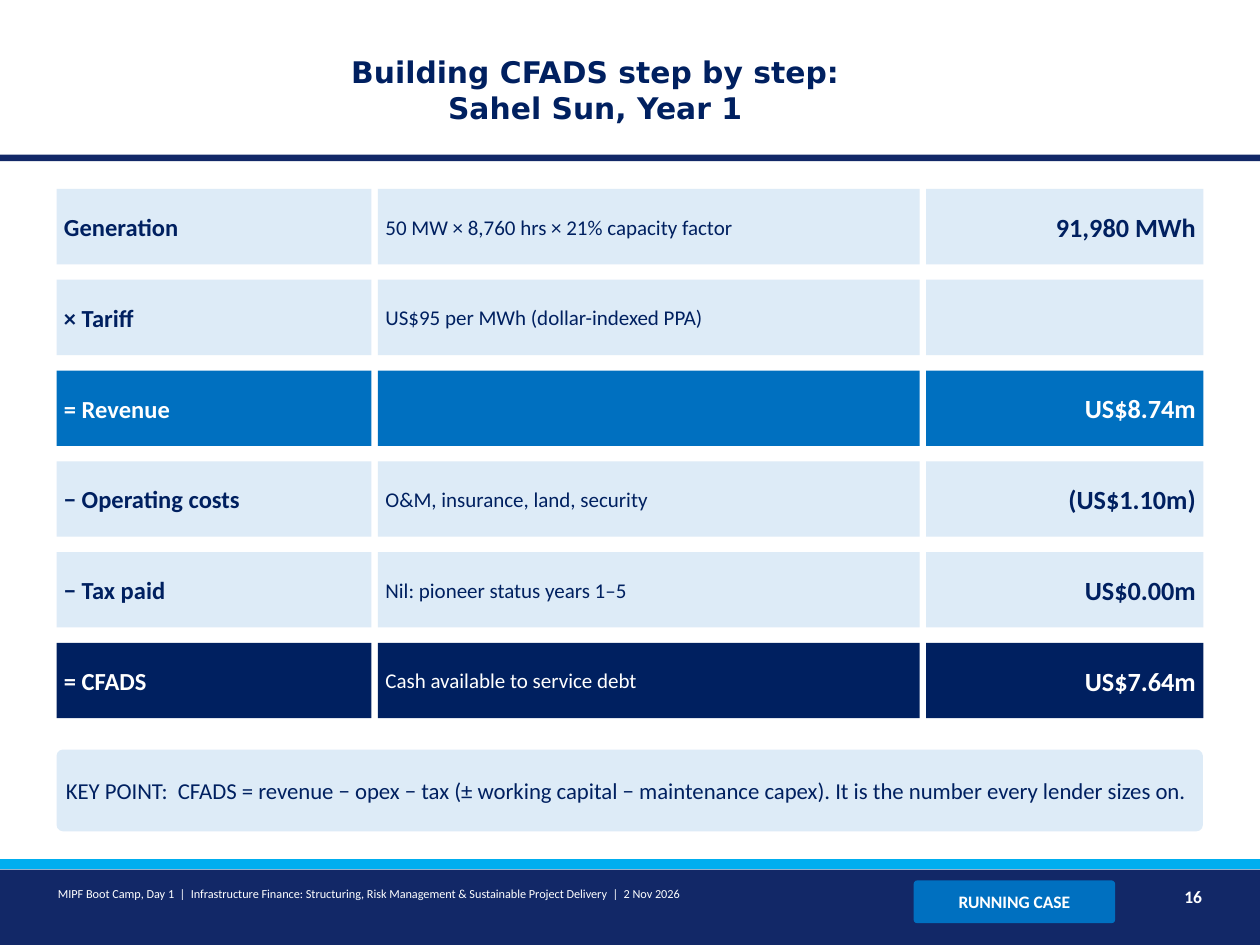
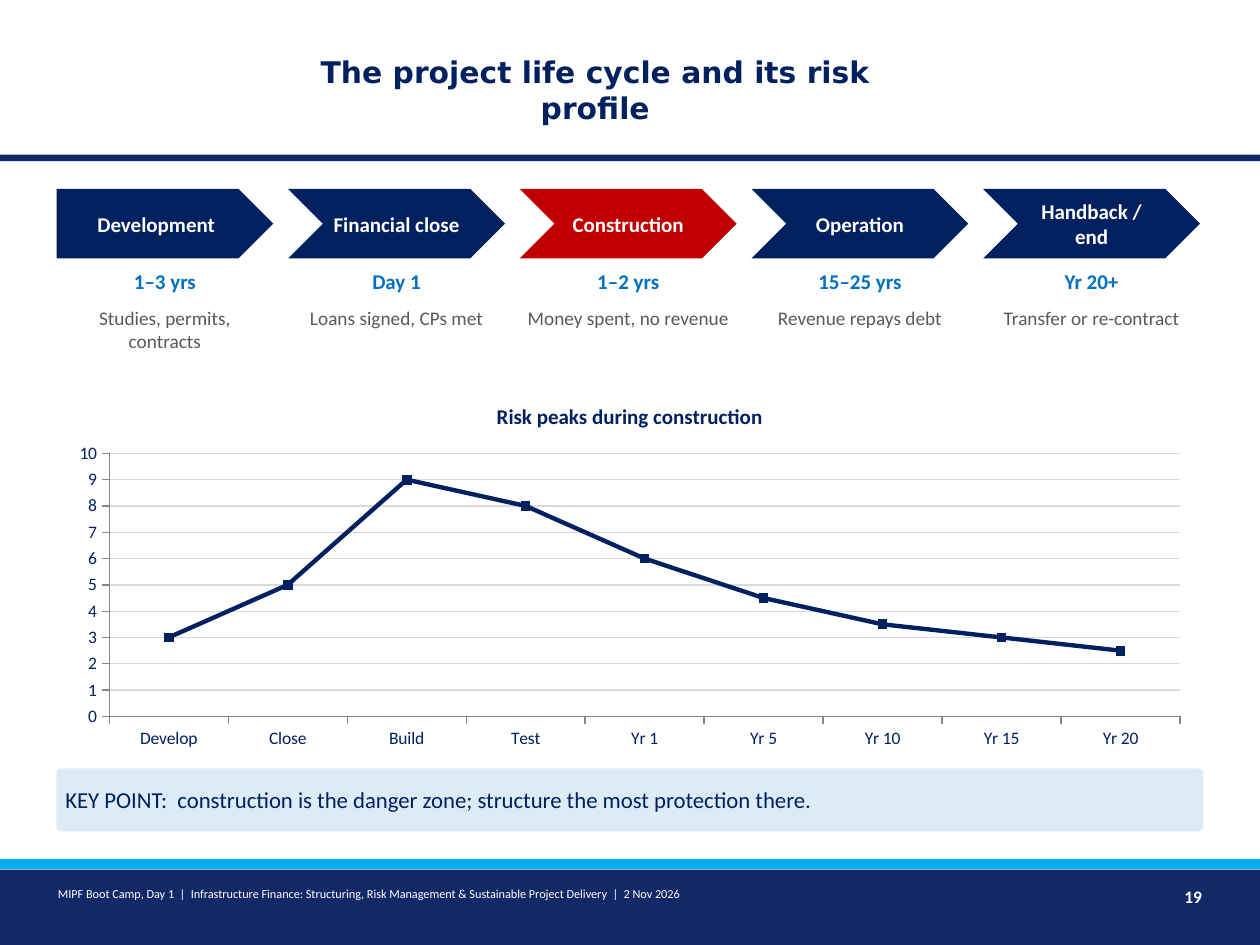
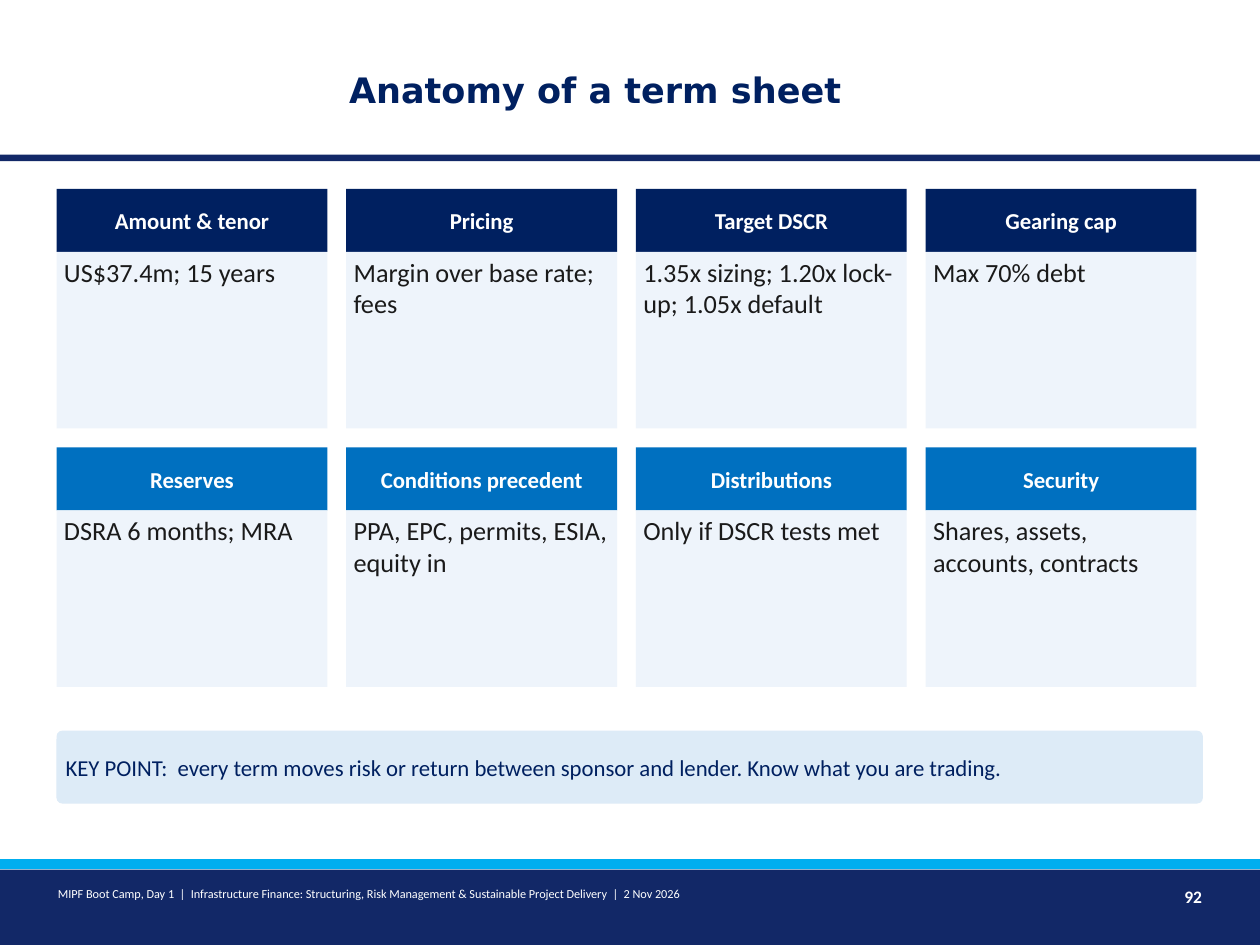
from pptx import Presentation
from pptx.chart.data import CategoryChartData
from pptx.dml.color import RGBColor
from pptx.enum.chart import XL_CHART_TYPE, XL_TICK_MARK
from pptx.enum.shapes import MSO_SHAPE
from pptx.enum.text import MSO_ANCHOR, PP_ALIGN
from pptx.util import Cm, Pt

RECTANGLE = MSO_SHAPE.RECTANGLE
ROUNDED = MSO_SHAPE.ROUNDED_RECTANGLE
PENTAGON = MSO_SHAPE.PENTAGON
CHEVRON = MSO_SHAPE.CHEVRON
LEFT, CENTER, RIGHT = PP_ALIGN.LEFT, PP_ALIGN.CENTER, PP_ALIGN.RIGHT
TOP, MIDDLE = MSO_ANCHOR.TOP, MSO_ANCHOR.MIDDLE
LINE_MARKERS = XL_CHART_TYPE.LINE_MARKERS
TICK_OUTSIDE = XL_TICK_MARK.OUTSIDE

NAVY = RGBColor(0x00, 0x20, 0x60)
BAND = RGBColor(0x12, 0x28, 0x67)
SKY = RGBColor(0x00, 0xAE, 0xEF)
BLUE = RGBColor(0x00, 0x70, 0xC0)
RED = RGBColor(0xC0, 0x00, 0x00)
PALE = RGBColor(0xDD, 0xEB, 0xF7)
MIST = RGBColor(0xEE, 0xF4, 0xFB)
INK = RGBColor(0x1A, 0x1A, 0x1A)
GRAY = RGBColor(0x59, 0x59, 0x59)
GRID = RGBColor(0xD9, 0xD9, 0xD9)
WHITE = RGBColor(0xFF, 0xFF, 0xFF)

BODY_FONT = "Calibri"
TITLE_FONT = "DejaVu Sans"
PAGE_WIDTH, PAGE_HEIGHT = 25.4, 19.05
MARGIN = 1.14
CONTENT_WIDTH = 23.11
CONTENT_TOP = 3.81
FOOTER = ("MIPF Boot Camp, Day 1  |  Infrastructure Finance: Structuring, "
          "Risk Management & Sustainable Project Delivery  |  2 Nov 2026")


class Builder:
    """Holds the deck, its style and the current page; lengths are in cm."""

    def __init__(self):
        self.deck = Presentation()
        self.deck.slide_width = Cm(PAGE_WIDTH)
        self.deck.slide_height = Cm(PAGE_HEIGHT)
        self.page = None

    def start_page(self, title, number, title_size=17):
        self.page = self.deck.slides.add_slide(self.deck.slide_layouts[6])
        self.block(0, 3.12, PAGE_WIDTH, 0.13, BAND)
        self.block(0, 17.53, PAGE_WIDTH, 1.52, BAND)
        self.block(0, 17.32, PAGE_WIDTH, 0.2, SKY)
        self.text(5.84, 0.56, 12.32, 2.49, title, title_size, NAVY, bold=True,
                  align=CENTER, anchor=MIDDLE, font=TITLE_FONT, inset=(0.25, 0.13))
        self.text(1.02, 17.78, 17.27, 0.89, FOOTER, 7, WHITE)
        self.text(22.86, 17.78, 1.52, 0.89, str(number), 10, WHITE,
                  bold=True, align=RIGHT)

    def block(self, left, top, width, height, fill, kind=RECTANGLE):
        box = self.page.shapes.add_shape(
            kind, Cm(left), Cm(top), Cm(width), Cm(height))
        box.shadow.inherit = False
        box.fill.solid()
        box.fill.fore_color.rgb = fill
        box.line.fill.background()
        if kind == ROUNDED:
            box.adjustments[0] = 0.08
        return box

    def text(self, left, top, width, height, words, size, color, **style):
        box = self.page.shapes.add_textbox(
            Cm(left), Cm(top), Cm(width), Cm(height))
        self.set_text(box, words, size, color, **style)

    def set_text(self, box, words, size, color, bold=False, align=LEFT, anchor=TOP,
                 font=BODY_FONT, inset=(0.15, 0.08), space_after=0):
        frame = box.text_frame
        frame.word_wrap = True
        frame.vertical_anchor = anchor
        frame.margin_left = frame.margin_right = Cm(inset[0])
        frame.margin_top = frame.margin_bottom = Cm(inset[1])
        frame.text = words
        para = frame.paragraphs[0]
        para.alignment = align
        para.space_after = Pt(space_after)
        span = para.runs[0].font
        span.name, span.size, span.bold = font, Pt(size), bold
        span.color.rgb = color

    def key_point(self, top, height, words):
        box = self.block(MARGIN, top, CONTENT_WIDTH, height, PALE, ROUNDED)
        self.set_text(box, "KEY POINT:  " + words, 13, NAVY, anchor=MIDDLE)

    def badge(self, words):
        box = self.block(18.42, 17.75, 4.06, 0.86, BLUE, ROUNDED)
        self.set_text(box, words, 10, WHITE, bold=True, align=CENTER, anchor=MIDDLE)

    def calculation_row(self, top, cells, fill):
        color = NAVY if fill == PALE else WHITE
        columns = ((MARGIN, 6.35, 14, True, LEFT),
                   (7.62, 10.92, 12, False, LEFT),
                   (18.67, 5.59, 15, True, RIGHT))
        for words, (left, width, size, bold, align) in zip(cells, columns):
            box = self.block(left, top, width, 1.52, fill)
            if words:
                self.set_text(box, words, size, color, bold=bold,
                              align=align, anchor=MIDDLE)

    def stage(self, left, name, period, detail, fill, kind):
        width = 4.37
        arrow = self.block(left, CONTENT_TOP, width, 1.4, fill, kind)
        self.set_text(arrow, name, 12, WHITE, bold=True, align=CENTER, anchor=MIDDLE)
        self.text(left, 5.33, width, 0.76, period, 12, BLUE, bold=True,
                  align=CENTER, space_after=4)
        self.text(left, 6.1, width, 1.52, detail, 11, GRAY,
                  align=CENTER, space_after=4)

    def card(self, left, top, heading, body, fill):
        width, head_height = 5.46, 1.27
        head = self.block(left, top, width, head_height, fill)
        self.set_text(head, heading, 13, WHITE, bold=True, align=CENTER, anchor=MIDDLE)
        panel = self.block(left, top + head_height, width, 3.56, MIST)
        self.set_text(panel, body, 15, INK, space_after=3)

    def line_chart(self, top, height, title, points):
        data = CategoryChartData()
        data.categories = list(points)
        data.add_series("Series 1", list(points.values()))
        chart = self.page.shapes.add_chart(
            LINE_MARKERS, Cm(MARGIN), Cm(top), Cm(CONTENT_WIDTH), Cm(height),
            data).chart
        chart.has_legend = False
        chart.font.name, chart.font.size = BODY_FONT, Pt(11)
        chart.font.color.rgb = NAVY
        chart.has_title = True
        chart.chart_title.text_frame.text = title
        span = chart.chart_title.text_frame.paragraphs[0].runs[0].font
        span.name, span.size, span.bold = BODY_FONT, Pt(12), True
        span.color.rgb = NAVY

        for axis in (chart.category_axis, chart.value_axis):
            axis.major_tick_mark = TICK_OUTSIDE
            axis.tick_labels.font.size = Pt(10)
        values = chart.value_axis
        values.minimum_scale, values.maximum_scale, values.major_unit = 0, 10, 1
        values.tick_labels.number_format = "0"
        values.tick_labels.number_format_is_linked = False
        values.major_gridlines.format.line.color.rgb = GRID
        values.major_gridlines.format.line.width = Pt(0.75)

        chart.plots[0].vary_by_categories = False
        series = chart.plots[0].series[0]
        series.smooth = False
        series.format.line.color.rgb = NAVY
        series.format.line.width = Pt(2.5)
        series.marker.size = 5
        series.marker.format.fill.solid()
        series.marker.format.fill.fore_color.rgb = NAVY
        series.marker.format.line.color.rgb = NAVY


def cfads_page(builder):
    builder.start_page("Building CFADS step by step: Sahel Sun, Year 1", 16)
    builder.badge("RUNNING CASE")
    rows = (
        ("Generation", "50 MW × 8,760 hrs × 21% capacity factor", "91,980 MWh", PALE),
        ("× Tariff", "US$95 per MWh (dollar-indexed PPA)", "", PALE),
        ("= Revenue", "", "US$8.74m", BLUE),
        ("− Operating costs", "O&M, insurance, land, security", "(US$1.10m)", PALE),
        ("− Tax paid", "Nil: pioneer status years 1–5", "US$0.00m", PALE),
        ("= CFADS", "Cash available to service debt", "US$7.64m", NAVY),
    )
    for index, (*cells, fill) in enumerate(rows):
        builder.calculation_row(CONTENT_TOP + index * 1.83, cells, fill)
    builder.key_point(15.11, 1.65,
                      "CFADS = revenue − opex − tax (± working capital − "
                      "maintenance capex). It is the number every lender sizes on.")


def life_cycle_page(builder):
    builder.start_page("The project life cycle and its risk profile", 19)
    stages = (
        ("Development", "1–3 yrs", "Studies, permits, contracts"),
        ("Financial close", "Day 1", "Loans signed, CPs met"),
        ("Construction", "1–2 yrs", "Money spent, no revenue"),
        ("Operation", "15–25 yrs", "Revenue repays debt"),
        ("Handback / end", "Yr 20+", "Transfer or re-contract"),
    )
    for index, (name, period, detail) in enumerate(stages):
        builder.stage(MARGIN + index * 4.67, name, period, detail,
                      RED if name == "Construction" else NAVY,
                      CHEVRON if index else PENTAGON)
    risk = {"Develop": 3, "Close": 5, "Build": 9, "Test": 8, "Yr 1": 6,
            "Yr 5": 4.5, "Yr 10": 3.5, "Yr 15": 3, "Yr 20": 2.5}
    builder.line_chart(7.75, 7.49, "Risk peaks during construction", risk)
    builder.key_point(15.49, 1.27, "construction is the danger zone; "
                                   "structure the most protection there.")


def term_sheet_page(builder):
    builder.start_page("Anatomy of a term sheet", 92, title_size=20)
    terms = (
        ("Amount & tenor", "US$37.4m; 15 years"),
        ("Pricing", "Margin over base rate; fees"),
        ("Target DSCR", "1.35x sizing; 1.20x lock-up; 1.05x default"),
        ("Gearing cap", "Max 70% debt"),
        ("Reserves", "DSRA 6 months; MRA"),
        ("Conditions precedent", "PPA, EPC, permits, ESIA, equity in"),
        ("Distributions", "Only if DSCR tests met"),
        ("Security", "Shares, assets, accounts, contracts"),
    )
    for index, (heading, body) in enumerate(terms):
        row, column = divmod(index, 4)
        builder.card(MARGIN + column * 5.84, CONTENT_TOP + row * 5.21,
                     heading, body, (NAVY, BLUE)[row])
    builder.key_point(14.73, 1.47, "every term moves risk or return between "
                                   "sponsor and lender. Know what you are trading.")


def main():
    builder = Builder()
    cfads_page(builder)
    life_cycle_page(builder)
    term_sheet_page(builder)
    builder.deck.save("out.pptx")


if __name__ == "__main__":
    main()
